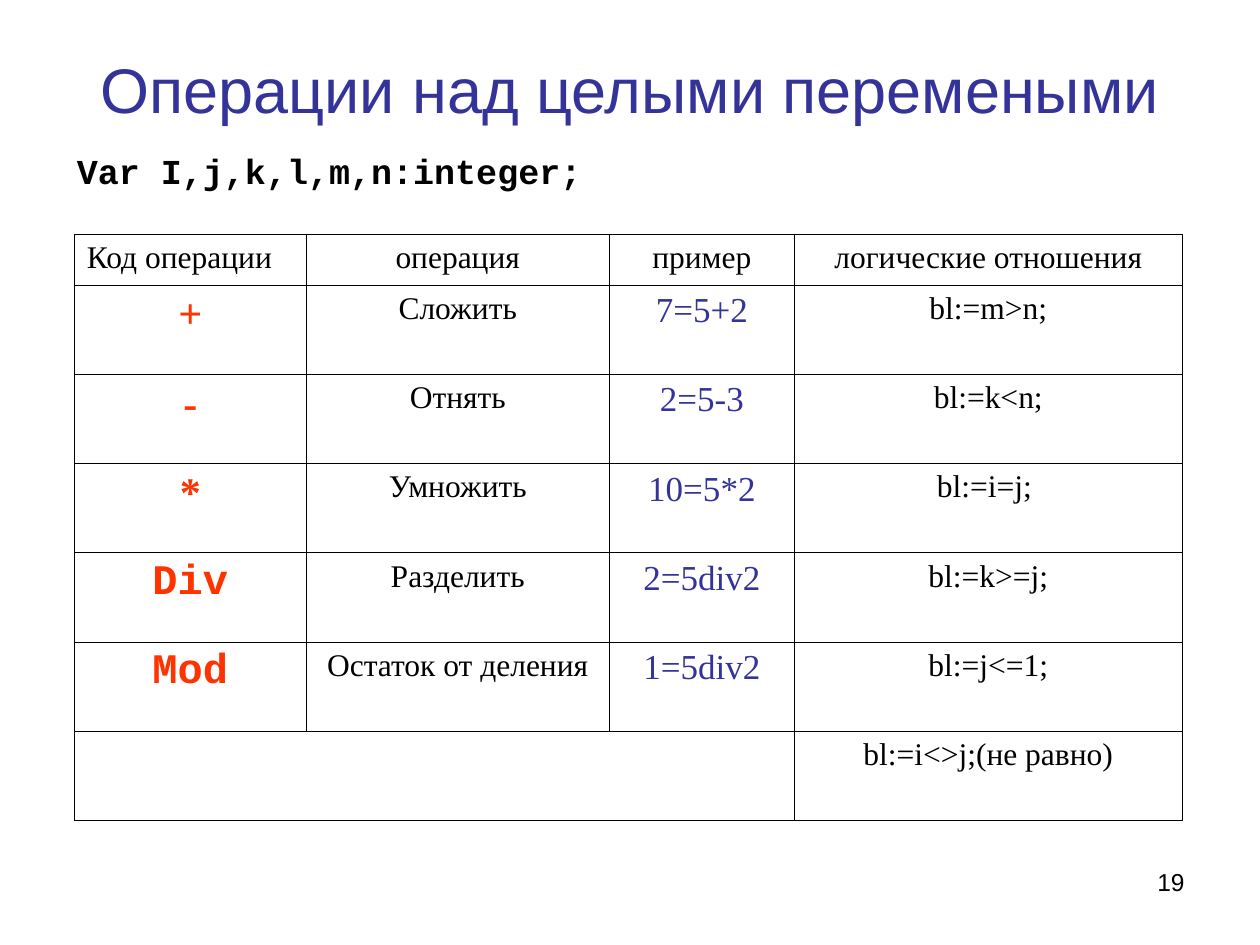
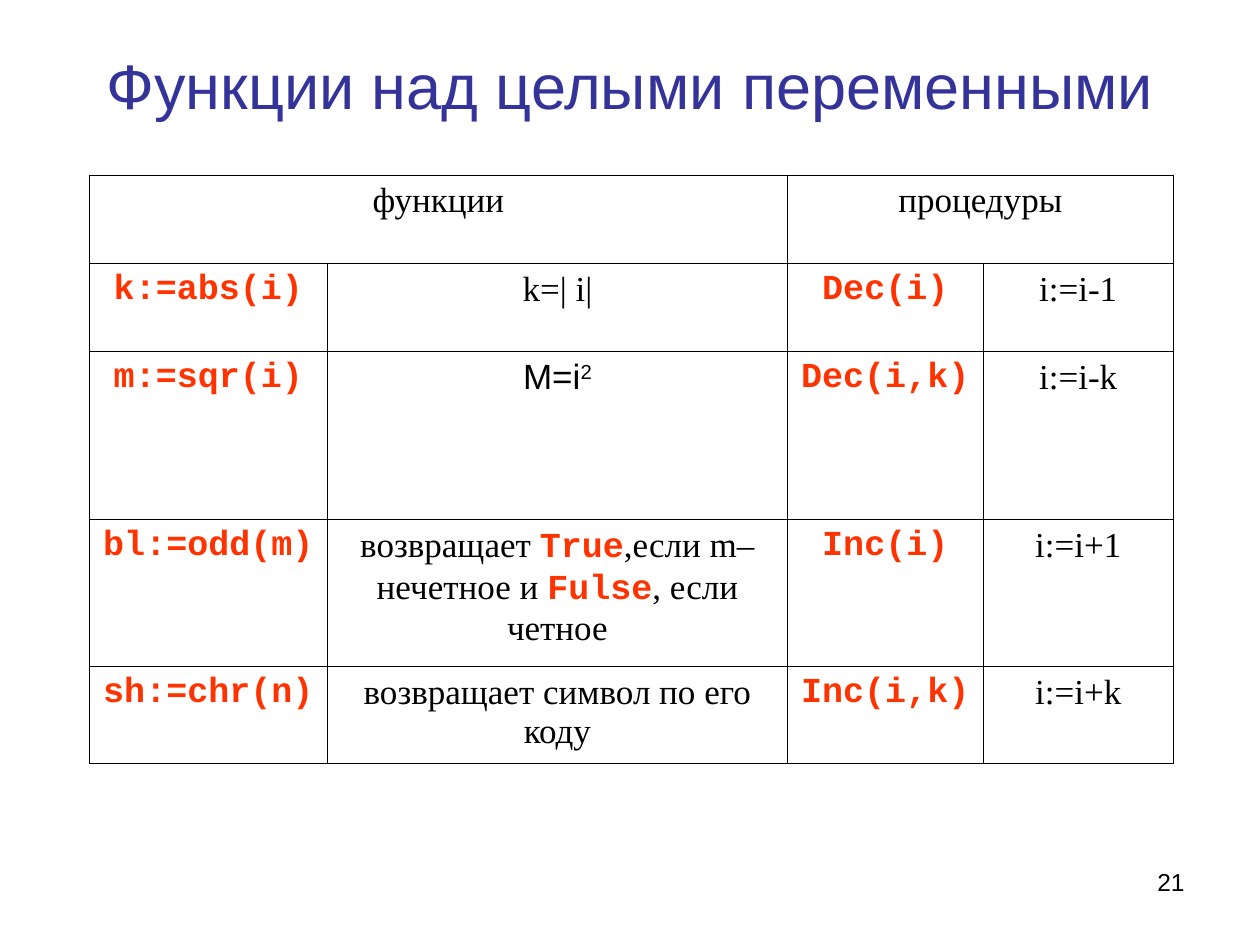
from dataclasses import dataclass

from pptx import Presentation
from pptx.dml.color import RGBColor
from pptx.enum.text import MSO_ANCHOR as Anchor, MSO_AUTO_SIZE as AutoSize, PP_ALIGN as Align
from pptx.oxml.ns import qn
from pptx.util import Pt
from lxml.etree import SubElement

COLORS = {"ink": "000000", "accent": "333399", "code": "FF3300"}
SANS, MONO, SERIF = "Arial", "Courier New", "Times New Roman"
HANGING = 27
THIN, HEAVY = 0.45, 0.96
TITLE_AND_BODY, TITLE_ONLY = 1, 5


@dataclass(frozen=True)
class RunStyle:
    font: str
    size: float
    color: str = "ink"
    bold: bool = False
    raised: bool = False


TITLE = RunStyle(SANS, 36, "accent")
NUMBER = RunStyle(SANS, 14)
DECLARATION = RunStyle(MONO, 20, bold=True)
WORD = RunStyle(SERIF, 18)
SIGN = RunStyle(SERIF, 24, "code", True)
KEYWORD = RunStyle(MONO, 24, "code", True)
EXAMPLE = RunStyle(SERIF, 20, "accent")
PLAIN = RunStyle(SERIF, 20)
CODE = RunStyle(MONO, 20, "code", True)
FORMULA = RunStyle(SANS, 20)
POWER = RunStyle(SANS, 20, raised=True)


class Deck:
    """Shared look and the slide being filled."""

    def __init__(self):
        self.prs = Presentation()
        self.prs.slide_width, self.prs.slide_height = Pt(720), Pt(540)
        self.slide = None

    def start(self, layout, title, title_height, number):
        self.slide = self.prs.slides.add_slide(self.prs.slide_layouts[layout])
        heading = self.slide.shapes.title
        self.place(heading, 36, 21.6, 648, title_height)
        heading.text_frame.vertical_anchor = Anchor.MIDDLE
        self.add_text(heading.text_frame, [(title, TITLE)])
        page = self.slide.shapes.add_textbox(Pt(516), Pt(491.8), Pt(168), Pt(37.4))
        page.text_frame.word_wrap = True
        self.add_text(page.text_frame, [(number, NUMBER)], Align.RIGHT)

    def place(self, holder, left, top, width, height):
        holder.left, holder.top = Pt(left), Pt(top)
        holder.width, holder.height = Pt(width), Pt(height)
        holder.text_frame.auto_size = AutoSize.NONE

    def add_text(self, frame, runs, align=Align.CENTER, hanging=0):
        paragraph = frame.paragraphs[0]
        paragraph.alignment = align
        paragraph.space_before = Pt(0)
        props = paragraph._p.get_or_add_pPr()
        props.set("marL", str(Pt(hanging)))
        props.set("indent", str(-Pt(hanging)))
        SubElement(props, qn("a:buNone"))
        for text, style in runs:
            run = paragraph.add_run()
            run.text = text
            run.font.name, run.font.size = style.font, Pt(style.size)
            run.font.bold = style.bold
            run.font.color.rgb = RGBColor.from_string(COLORS[style.color])
            if style.raised:
                run.font._element.set("baseline", "30000")

    def body(self, runs, left, top, width, height):
        holder = self.slide.placeholders[1]
        self.place(holder, left, top, width, height)
        holder.text_frame.margin_top = Pt(8.6)
        self.add_text(holder.text_frame, runs, Align.LEFT, HANGING)

    def borders(self, cell, widths):
        props = cell._tc.get_or_add_tcPr()
        for side, width in zip("LRTB", widths):
            line = SubElement(props, qn(f"a:ln{side}"), w=str(Pt(width)))
            fill = SubElement(line, qn("a:solidFill"))
            SubElement(fill, qn("a:srgbClr"), val=COLORS["ink"])

    def table(self, left, top, widths, heights, rows, merges, hanging=0, heavy_column=None):
        """Cells are lists of runs; heavy_column starts with a thicker edge below the header."""
        grid = self.slide.shapes.add_table(
            len(heights), len(widths), Pt(left), Pt(top), Pt(sum(widths)), Pt(sum(heights))).table
        grid.first_row = grid.horz_banding = False
        for column, width in zip(grid.columns, widths):
            column.width = Pt(width)
        for row, height in zip(grid.rows, heights):
            row.height = Pt(height)
        for r, c_first, c_last in merges:
            grid.cell(r, c_first).merge(grid.cell(r, c_last))
        for r, row in enumerate(rows):
            for c, runs in enumerate(row):
                cell = grid.cell(r, c)
                edges = [HEAVY if r and edge == heavy_column else THIN for edge in (c, c + 1)]
                self.borders(cell, edges + [THIN, THIN])
                cell.fill.background()
                if runs:
                    first = r == c == 0 and hanging
                    align = Align.LEFT if first else Align.CENTER
                    self.add_text(cell.text_frame, runs, align, hanging)


def styled(texts, styles):
    return [[(text, style)] for text, style in zip(texts, styles)]


def operations_slide(deck):
    deck.start(TITLE_AND_BODY, "Операции над целыми перемеными", 58.3, "19")
    deck.body([("Var I,j,k,l,m,n:integer;", DECLARATION)], 36.7, 77, 318.2, 33.8)

    # Operations, with the logical relations in the last column
    header = ["Код операции", "операция", "пример", "логические отношения"]
    operations = [
        ("+", "Сложить", "7=5+2", "bl:=m>n;"),
        ("-", "Отнять", "2=5-3", "bl:=k<n;"),
        ("*", "Умножить", "10=5*2", "bl:=i=j; "),
        ("Div", "Разделить", "2=5div2", "bl:=k>=j;"),
        ("Mod", "Остаток от деления", "1=5div2", "bl:=j<=1;"),
    ]
    rows = [styled(header, [WORD] * 4)]
    for operation in operations:
        code = KEYWORD if operation[0].isalpha() else SIGN
        rows.append(styled(operation, [code, WORD, EXAMPLE, WORD]))
    rows.append([None, None, None, [("bl:=i<>j;(не равно)", WORD)]])
    deck.table(42.5, 133.9, [132.5, 173.2, 105.8, 221.6], [29] + [51] * 6, rows,
               merges=[(6, 0, 2)], hanging=HANGING, heavy_column=3)


def functions_slide(deck):
    deck.start(TITLE_ONLY, "Функции над целыми переменными", 52.6, "21")

    # Functions on the left, procedures on the right
    square = [("M=i", FORMULA), ("2", POWER)]
    parity = [("возвращает ", PLAIN), ("True", CODE), (",если m–нечетное и ", PLAIN),
              ("Fulse", CODE), (", если четное", PLAIN)]
    calls = [
        ("k:=abs(i)", [("k=| i|", PLAIN)], "Dec(i)", "i:=i-1"),
        ("m:=sqr(i)", square, "Dec(i,k)", "i:=i-k"),
        ("bl:=odd(m)", parity, "Inc(i)", "i:=i+1"),
        ("sh:=chr(n)", [("возвращает символ по его коду", PLAIN)], "Inc(i,k)", "i:=i+k"),
    ]
    rows = [[[("функции", PLAIN)], None, [("процедуры", PLAIN)], None]]
    for function, meaning, procedure, effect in calls:
        rows.append([[(function, CODE)], meaning, [(procedure, CODE)], [(effect, PLAIN)]])
    deck.table(51.1, 100, [136, 262.9, 111.9, 108.6], [50.6, 50.4, 96, 84, 55.4], rows,
               merges=[(0, 0, 1), (0, 2, 3)])


def main():
    deck = Deck()
    operations_slide(deck)
    functions_slide(deck)
    deck.prs.save("out.pptx")


if __name__ == "__main__":
    main()
